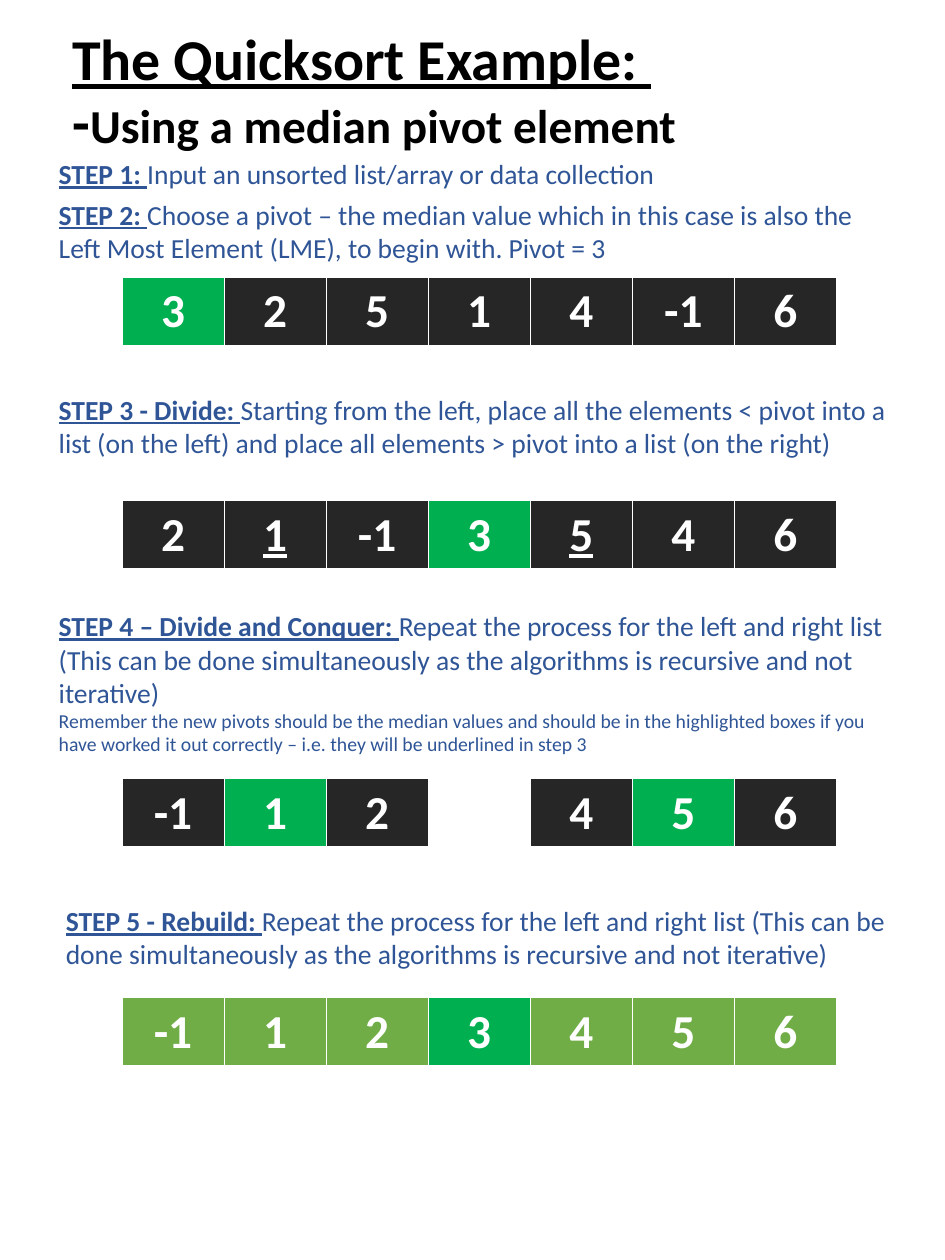
import pptx
import pptx.util
import pptx.oxml
import pptx.dml.color
import pptx.enum.text

Inches, Pt = pptx.util.Inches, pptx.util.Pt
RGBColor = pptx.dml.color.RGBColor
PP_ALIGN = pptx.enum.text.PP_ALIGN
MSO_ANCHOR = pptx.enum.text.MSO_ANCHOR
MSO_AUTO_SIZE = pptx.enum.text.MSO_AUTO_SIZE

BLACK = RGBColor(0x00, 0x00, 0x00)
WHITE = RGBColor(0xFF, 0xFF, 0xFF)
BLUE = RGBColor(0x2F, 0x55, 0x97)
DARK = RGBColor(0x26, 0x26, 0x26)
PIVOT = RGBColor(0x00, 0xB0, 0x50)
SORTED = RGBColor(0x70, 0xAD, 0x47)

LEFT, CELL_W, CELL_H = 1.72, 1.44, 0.98
NS = "http://schemas.openxmlformats.org/drawingml/2006/main"


def add_run(p, text, size=28, color=BLUE, bold=False, underline=False):
    r = p.add_run()
    r.text = text
    r.font.name = "Calibri"
    r.font.size = Pt(size)
    r.font.color.rgb = color
    r.font.bold = bold
    r.font.underline = underline


def add_borders(cell):
    tcPr = cell._tc.get_or_add_tcPr()
    for i, (side, width) in enumerate([("L", 1), ("R", 1), ("T", 1), ("B", 3)]):
        tcPr.insert(i, pptx.oxml.parse_xml(
            f'<a:ln{side} xmlns:a="{NS}" w="{Pt(width)}"><a:solidFill>'
            f'<a:srgbClr val="{WHITE}"/></a:solidFill></a:ln{side}>'))


prs = pptx.Presentation()
prs.slide_width, prs.slide_height = Inches(13.33), Inches(17.78)
s = prs.slides.add_slide(prs.slide_layouts[5])

# Title
title = s.shapes.title
title.left, title.top = Inches(0.92), Inches(0.07)
title.width, title.height = Inches(11.68), Inches(2.49)
tf = title.text_frame
tf.word_wrap = True
tf.auto_size = MSO_AUTO_SIZE.NONE
tf.vertical_anchor = MSO_ANCHOR.MIDDLE
p = tf.paragraphs[0]
p.alignment = PP_ALIGN.LEFT
p.line_spacing = 0.9
add_run(p, "The Quicksort Example: ", size=58.7, color=BLACK, bold=True, underline=True)
p.add_line_break()
add_run(p, "-", size=58.7, color=BLACK, bold=True)
add_run(p, "Using a median pivot element", size=48, color=BLACK, bold=True)

# Steps: left, top, height, heading, instruction, small note
REPEAT = ("Repeat the process for the left and right list (This can be done "
          "simultaneously as the algorithms is recursive and not iterative)")
steps = [
    (0.73, 2.17, 0.57, "STEP 1: ", "Input an unsorted list/array or data collection", ""),
    (0.73, 2.74, 1.04, "STEP 2: ",
     "Choose a pivot – the median value which in this case is also the "
     "Left Most Element (LME), to begin with. Pivot = 3", ""),
    (0.73, 5.49, 1.04, "STEP 3 - Divide: ",
     "Starting from the left, place all the elements < pivot into a list (on the left) "
     "and place all elements > pivot into a list (on the right)", ""),
    (0.73, 8.55, 2.19, "STEP 4 – Divide and Conquer: ", REPEAT,
     "Remember the new pivots should be the median values and should be in the highlighted "
     "boxes if you have worked it out correctly – i.e. they will be underlined in step 3"),
    (0.83, 12.71, 1.04, "STEP 5 - Rebuild: ", REPEAT, ""),
]
for left, top, height, heading, instruction, note in steps:
    box = s.shapes.add_textbox(Inches(left), Inches(top), Inches(11.87), Inches(height))
    tf = box.text_frame
    tf.word_wrap = True
    tf.auto_size = MSO_AUTO_SIZE.SHAPE_TO_FIT_TEXT
    p = tf.paragraphs[0]
    add_run(p, heading, bold=True, underline=True)
    add_run(p, instruction)
    if note:
        add_run(tf.add_paragraph(), note, size=20)

# Lists: first column, top, values, pivot, underlined next pivots, cell colour
lists = [
    (0, 3.91, [3, 2, 5, 1, 4, -1, 6], 3, [], DARK),
    (0, 7.06, [2, 1, -1, 3, 5, 4, 6], 3, [1, 5], DARK),
    (0, 10.98, [-1, 1, 2], 1, [], DARK),
    (4, 10.98, [4, 5, 6], 5, [], DARK),
    (0, 14.07, [-1, 1, 2, 3, 4, 5, 6], 3, [], SORTED),
]
for column, top, values, pivot, next_pivots, color in lists:
    frame = s.shapes.add_table(1, len(values), Inches(LEFT + column * CELL_W), Inches(top),
                               Inches(len(values) * CELL_W), Inches(CELL_H))
    table = frame.table
    table.first_row = table.horz_banding = False
    for i, value in enumerate(values):
        table.columns[i].width = Inches(CELL_W)
        cell = table.cell(0, i)
        cell.fill.solid()
        cell.fill.fore_color.rgb = PIVOT if value == pivot else color
        cell.vertical_anchor = MSO_ANCHOR.MIDDLE
        add_borders(cell)
        p = cell.text_frame.paragraphs[0]
        p.alignment = PP_ALIGN.CENTER
        add_run(p, str(value), size=48, color=WHITE, bold=True, underline=value in next_pivots)

prs.save("out.pptx")
